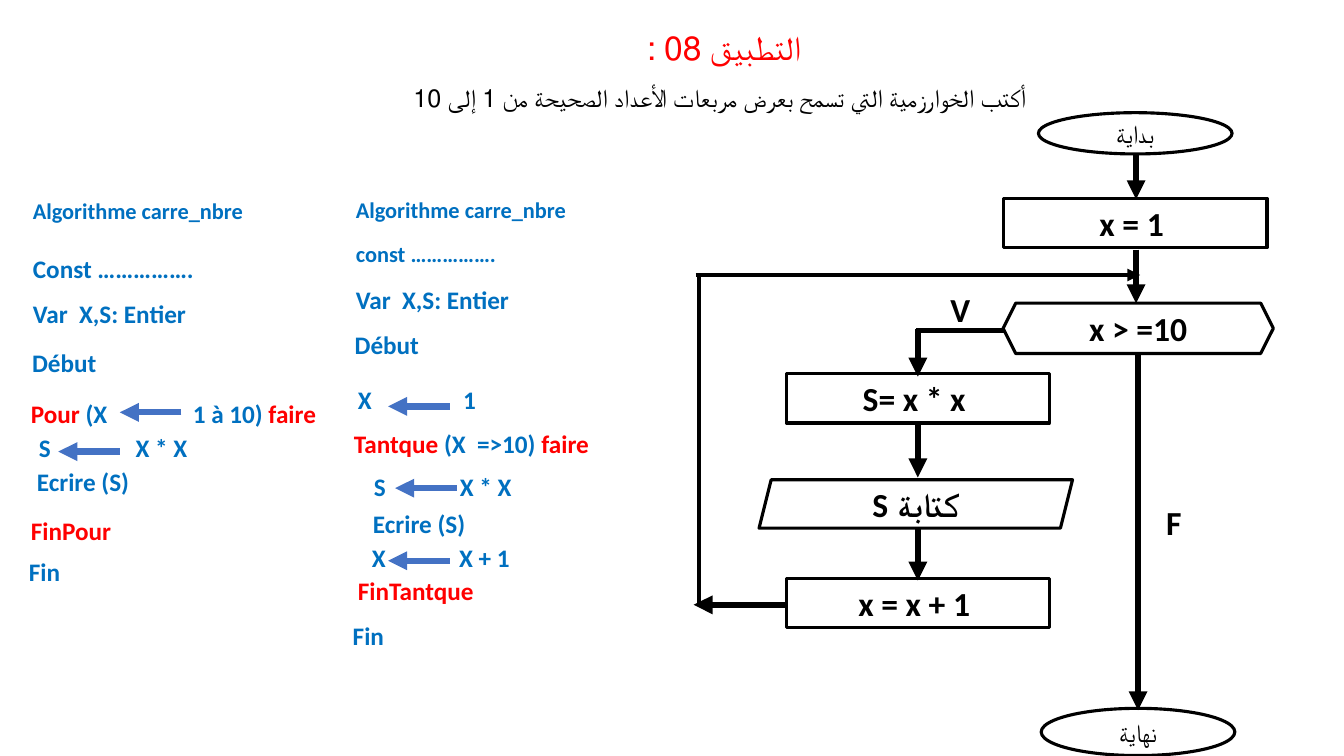
from dataclasses import dataclass

from lxml.etree import SubElement
from pptx import Presentation
from pptx.dml.color import RGBColor as RGB
from pptx.enum.shapes import MSO_CONNECTOR as LINK, MSO_SHAPE as SHAPE
from pptx.enum.text import MSO_ANCHOR as ANCHOR, MSO_AUTO_SIZE as FIT, PP_ALIGN as ALIGN
from pptx.oxml.ns import qn
from pptx.util import Cm, Pt


@dataclass(frozen=True)
class Theme:
    black: RGB = RGB(0, 0, 0)
    white: RGB = RGB(255, 255, 255)
    red: RGB = RGB(255, 0, 0)
    blue: RGB = RGB(0, 0x70, 0xC0)
    arrow: RGB = RGB(0x44, 0x72, 0xC4)
    latin: str = "Calibri"
    arab: str = "Lato"
    big: int = 24
    mid: int = 18
    small: int = 16
    edge: float = 2.25
    thin: float = 3
    thick: float = 4.5


T = Theme()


# Basic parts
def add_run(para, text, size, color, font=T.latin, bold=True):
    run = para.add_run()
    run.text = text
    run.font.size, run.font.bold, run.font.name = Pt(size), bold, font
    run.font.color.rgb = color


def set_para(para, align=None, rtl=False):
    para.alignment = align
    if rtl:
        para._p.get_or_add_pPr().set("rtl", "1")


def add_box(slide, x, y, w, h):
    frame = slide.shapes.add_textbox(Cm(x), Cm(y), Cm(w), Cm(h)).text_frame
    frame.word_wrap = True
    frame.auto_size = FIT.SHAPE_TO_FIT_TEXT
    return frame


def add_line(slide, x1, y1, x2, y2, color=T.black, width=T.thick, head=True):
    link = slide.shapes.add_connector(LINK.STRAIGHT, Cm(x1), Cm(y1), Cm(x2), Cm(y2))
    link.line.color.rgb, link.line.width = color, Pt(width)
    if head:
        SubElement(link.line._get_or_add_ln(), qn("a:tailEnd"), type="triangle")
    SubElement(link._element.spPr, qn("a:effectLst"))


def add_node(slide, kind, x, y, w, h, text, rtl=False):
    node = slide.shapes.add_shape(kind, Cm(x), Cm(y), Cm(w), Cm(h))
    node.shadow.inherit = False
    node.fill.solid()
    node.fill.fore_color.rgb = T.white
    node.line.color.rgb, node.line.width = T.black, Pt(T.edge)
    frame = node.text_frame
    frame.vertical_anchor = ANCHOR.MIDDLE
    para = frame.paragraphs[0]
    set_para(para, ALIGN.CENTER, rtl)
    if kind == SHAPE.OVAL:
        add_run(para, text, T.mid, T.black, T.arab, False)
    else:
        add_run(para, text, T.big, T.black)


# Heading: title and task
def add_head(slide, x, y, w, h):
    frame = add_box(slide, x, y, w, h)
    title, task = frame.paragraphs[0], frame.add_paragraph()
    for para in (title, task):
        set_para(para, ALIGN.CENTER, True)
    task.line_spacing, task.space_after = 1.5, Pt(6)
    add_run(title, "التطبيق 08 : ", T.big, T.red, T.arab, False)
    add_run(task, "أكتب الخوارزمية التي تسمح بعرض مربعات الأعداد الصحيحة من 1 إلى 10",
            T.mid, T.black, T.arab, False)


# Flowchart
def add_flow(slide, x, y):
    wide, tall = 6.63, 1.24
    left, mid, right = 2.34, 5.65, 11.15
    nodes = [
        (SHAPE.OVAL, 8.69, 0, 4.88, 1.04, "بداية"),
        (SHAPE.OVAL, 8.76, 15.01, 4.88, 1.19, "نهاية"),
        (SHAPE.RECTANGLE, 7.82, 2.16, wide, tall, "x = 1 "),
        (SHAPE.HEXAGON, 7.8, 4.8, 6.81, 1.27, "x > =10"),
        (SHAPE.RECTANGLE, left, 6.58, wide, tall, "S= x * x "),
        (SHAPE.PARALLELOGRAM, 1.65, 9.25, 7.9, 1.22, "كتابة S", True),
        (SHAPE.RECTANGLE, left, 11.73, wide, tall, "x = x + 1 "),
    ]
    for kind, dx, dy, w, h, *text in nodes:
        add_node(slide, kind, x + dx, y + dy, w, h, *text)

    # Steps down: centre, top, bottom
    for dx, top, end in [(right, 1.02, 2.18), (right, 3.45, 4.8), (11.2, 6.05, 15.06),
                         (mid, 5.44, 6.65), (mid, 7.85, 9.19), (mid, 10.44, 11.79)]:
        add_line(slide, x + dx, y + top, x + dx, y + end)

    # True branch and loop back to the test
    add_line(slide, x + 7.82, y + 5.49, x + 5.61, y + 5.49, width=T.thin, head=False)
    add_line(slide, x + left, y + 12.4, x, y + 12.4)
    add_line(slide, x + 0.13, y + 12.37, x + 0.13, y + 4.11, width=T.thin, head=False)
    add_line(slide, x + 0.05, y + 4.09, x + 11.25, y + 4.09, width=T.thin)

    for text, dx, dy in [("V", 6.22, 4.32), ("F", 11.66, 9.68)]:
        frame = add_box(slide, x + dx, y + dy, 1, 1.17)
        add_run(frame.paragraphs[0], text, T.big, T.black)


# Code column: rows are (dx, dy, size, tab, parts), arrows are (dx, dy) of the tip
def add_code(slide, x, y, w, rows, arrows):
    for dx, dy, size, tab, parts in rows:
        para = add_box(slide, x + dx, y + dy, w, 1.02).paragraphs[0]
        if tab:
            stops = SubElement(para._p.get_or_add_pPr(), qn("a:tabLst"))
            SubElement(stops, qn("a:tab"), pos=str(Cm(tab)), algn="l")
        for text, color in parts:
            add_run(para, text, size, color)
    for dx, dy in arrows:
        add_line(slide, x + dx + 1.55, y + dy, x + dx, y + dy, T.arrow)


def blue(text):
    return [(text, T.blue)]


def red(text):
    return [(text, T.red)]


FOR_ROWS = [
    (0.1, 0, T.small, 0, blue("Algorithme carre_nbre")),
    (0.1, 1.42, T.mid, 0, blue("Const …………….")),
    (0.1, 2.54, T.mid, 0, blue("Var  X,S: Entier")),
    (0.08, 3.78, T.mid, 0, blue("Début")),
    (0.05, 5.05, T.mid, 4.08, red("Pour") + blue(" (X\t1 à 10) ") + red("faire")),
    (0.25, 5.92, T.mid, 2.44, blue("S\tX * X")),
    (0.2, 6.78, T.mid, 0, blue("Ecrire (S)")),
    (0.05, 8, T.mid, 0, red("FinPour")),
    (0, 9.04, T.mid, 0, blue("Fin")),
]
WHILE_ROWS = [
    (0.08, 0, T.small, 0, blue("Algorithme carre_nbre")),
    (0.08, 1.09, T.small, 0, blue("const …………….")),
    (0.08, 2.21, T.mid, 0, blue("Var  X,S: Entier")),
    (0.05, 3.35, T.mid, 0, blue("Début")),
    (0.13, 4.72, T.mid, 2.65, blue("X\t1")),
    (0.03, 5.84, T.mid, 0, red("Tantque") + blue(" (X  =>10) ") + red("faire")),
    (0.53, 6.93, T.mid, 2.17, blue("S\tX * X")),
    (0.51, 7.85, T.mid, 0, blue("Ecrire (S)")),
    (0.48, 8.71, T.mid, 2.2, blue("X\tX + 1")),
    (0.13, 9.55, T.mid, 0, red("FinTantque")),
    (0, 10.67, T.mid, 0, blue("Fin")),
]


def main():
    deck = Presentation()
    deck.slide_width, deck.slide_height = Cm(33.87), Cm(19.05)
    slide = deck.slides.add_slide(deck.slide_layouts[6])
    add_head(slide, 5.56, 0.56, 25.17, 2.44)
    add_flow(slide, 17.48, 2.84)
    add_code(slide, 8.64, 4.83, 7.5, WHILE_ROWS, [(1.14, 5.41), (1.32, 7.47), (1.14, 9.3)])
    add_code(slide, 0.48, 4.85, 8.18, FOR_ROWS, [(2.54, 5.54), (0.99, 6.53)])
    deck.save("out.pptx")


if __name__ == "__main__":
    main()
